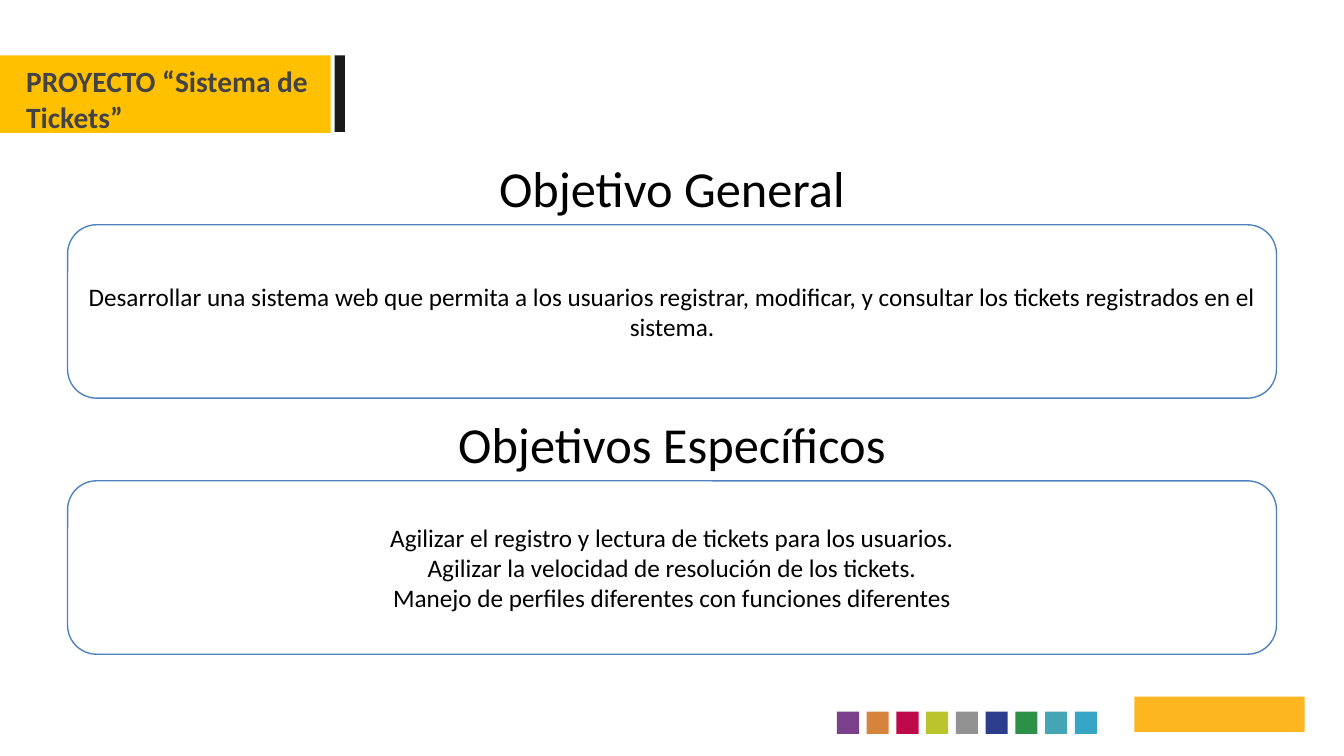
import pptx
import pptx.util
import pptx.dml.color
import pptx.enum.shapes
import pptx.enum.text

Inches = pptx.util.Inches
Shape = pptx.enum.shapes.MSO_SHAPE
Align = pptx.enum.text.PP_ALIGN
Anchor = pptx.enum.text.MSO_ANCHOR

HEADER = "PROYECTO “Sistema de Tickets”"
SECTIONS = [
    ("Objetivo General", [
        "Desarrollar una sistema web que permita a los usuarios registrar, "
        "modificar, y consultar los tickets registrados en el sistema.",
    ]),
    ("Objetivos Específicos", [
        "Agilizar el registro y lectura de tickets para los usuarios.",
        "Agilizar la velocidad de resolución de los tickets.",
        "Manejo de perfiles diferentes con funciones diferentes",
    ]),
]
SQUARES = ["7B408A", "D6843D", "BD0949", "BAC52E", "929292",
           "2C3E8B", "2C9146", "44A6B5", "35A4C5"]
BLOCKS = [
    ((0, 0.55, 3.28, 0.77), "FFC000"),
    ((3.32, 0.55, 0.1, 0.76), "1A1A1A"),
    ((11.25, 6.91, 1.69, 0.35), "FEB620"),
]
WIDTH, HEIGHT = 13.33, 7.5
TOP, STEP = 1.51, 2.54
SIDE, GAP = 0.22, 0.295


def color(text):
    return pptx.dml.color.RGBColor.from_string(text)


def block(slide, box, fill, kind=Shape.RECTANGLE, line=None):
    shape = slide.shapes.add_shape(kind, *map(Inches, box))
    shape.shadow.inherit = False
    shape.fill.solid()
    shape.fill.fore_color.rgb = color(fill)
    if line:
        shape.line.color.rgb = color(line)
        shape.line.width = pptx.util.Pt(1)
    else:
        shape.line.fill.background()
    return shape


def write(shape, lines, size, ink="000000", bold=False, align=Align.CENTER,
          anchor=Anchor.TOP, inset=(0.1, 0.05)):
    frame = shape.text_frame
    across, down = map(Inches, inset)
    look = {"word_wrap": True, "vertical_anchor": anchor,
            "auto_size": pptx.enum.text.MSO_AUTO_SIZE.NONE,
            "margin_left": across, "margin_right": across,
            "margin_top": down, "margin_bottom": down}
    for name, value in look.items():
        setattr(frame, name, value)
    frame.text = "\n".join(lines)
    style = {"name": "Calibri", "size": pptx.util.Pt(size), "bold": bold}
    for para in frame.paragraphs:
        para.alignment = align
        for run in para.runs:
            for name, value in style.items():
                setattr(run.font, name, value)
            run.font.color.rgb = color(ink)


def main():
    deck = pptx.Presentation()
    deck.slide_width, deck.slide_height = Inches(WIDTH), Inches(HEIGHT)
    slide = deck.slides.add_slide(deck.slide_layouts[5])

    for box, fill in BLOCKS:
        block(slide, box, fill)
    for i, fill in enumerate(SQUARES):
        block(slide, (8.3 + i * GAP, 7.06, SIDE, SIDE), fill)

    for i, (head, lines) in enumerate(SECTIONS):
        top = TOP + i * STEP
        label = slide.shapes.add_textbox(
            *map(Inches, (0, top, WIDTH, 0.71)))
        write(label, [head], 36)
        panel = block(slide, (0.67, top + 0.72, 11.99, 1.72), "FFFFFF",
                      Shape.ROUNDED_RECTANGLE, "4F81BD")
        panel.adjustments[0] = 0.167
        write(panel, lines, 18, anchor=Anchor.MIDDLE)

    title = slide.shapes.title
    place = {"left": 0.26, "top": 0.63, "width": 2.88, "height": 0.71}
    for name, value in place.items():
        setattr(title, name, Inches(value))
    write(title, [HEADER], 21, "434343", True, Align.LEFT, inset=(0, 0))
    # Bring the title in front of its yellow band
    title.element.getparent().append(title.element)

    deck.save("out.pptx")


if __name__ == "__main__":
    main()
